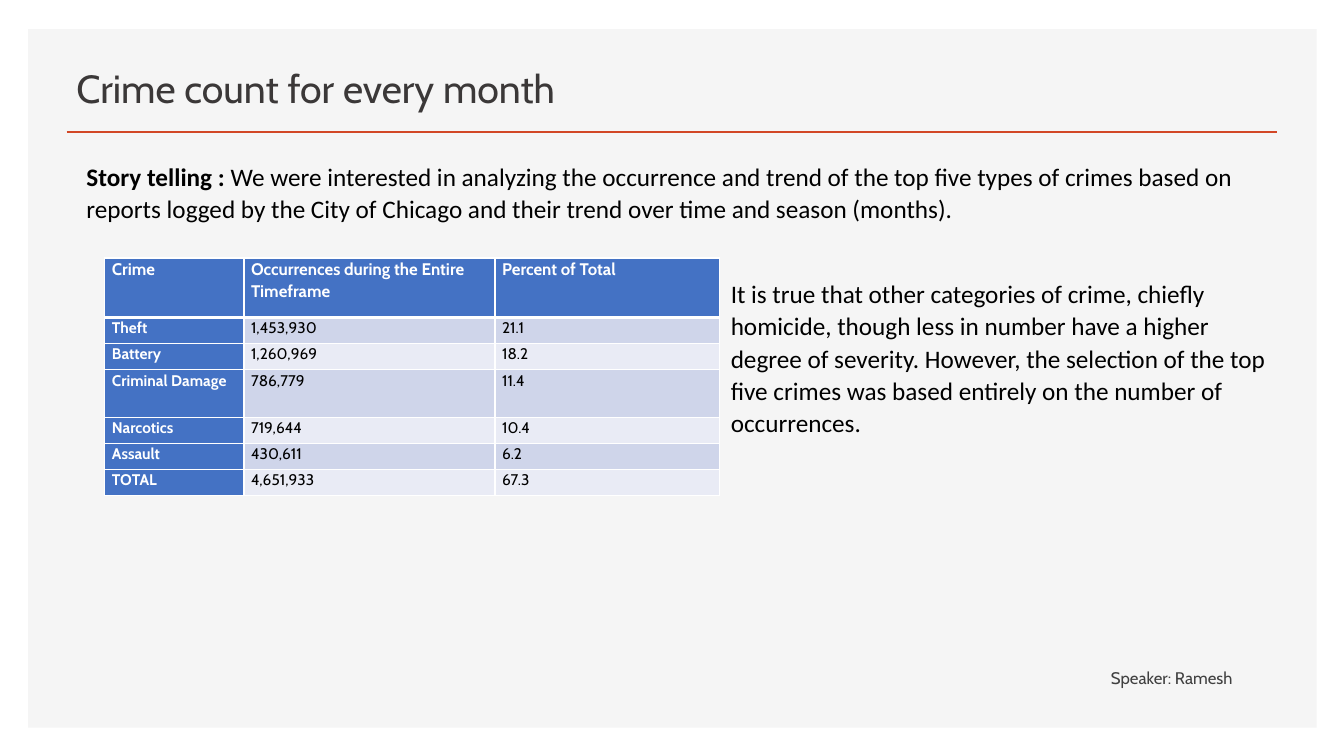
import pptx
import pptx.dml.color
import pptx.enum.shapes
import pptx.enum.text
import pptx.oxml
import pptx.oxml.ns
import pptx.util

Inches = pptx.util.Inches
Pt = pptx.util.Pt
RGBColor = pptx.dml.color.RGBColor

WHITE = RGBColor(0xFF, 0xFF, 0xFF)
BLACK = RGBColor(0, 0, 0)
PANEL = RGBColor(0xF5, 0xF5, 0xF5)
ORANGE = RGBColor(0xD2, 0x47, 0x26)
TITLE_GREY = RGBColor(0x3B, 0x38, 0x38)
SPEAKER_GREY = RGBColor(0x40, 0x40, 0x40)
BLUE = RGBColor(0x44, 0x72, 0xC4)
BANDS = [RGBColor(0xCF, 0xD5, 0xEA), RGBColor(0xE9, 0xEB, 0xF5)]

TITLE = {"name": "Cabin", "size": Pt(28), "color": TITLE_GREY}
SPEAKER = {"name": "Cabin", "size": Pt(12), "color": SPEAKER_GREY}
BODY = {"name": "Calibri", "size": Pt(18), "color": BLACK}
HEADER = {"name": "Cabin", "size": Pt(12), "color": WHITE, "bold": True}
CRIME = {**HEADER, "size": Pt(11)}
VALUE = {**CRIME, "color": BLACK, "bold": False}

BODY_SPACING = {"line_spacing": 1.07, "space_after": Pt(8)}
CELL_SPACING = {"line_spacing": 1.07, "space_after": Pt(6)}
CELL_MARGINS = {"margin_left": Inches(0.07), "margin_right": Inches(0.07),
                "margin_top": 0, "margin_bottom": 0}

COL_WIDTHS = [1.38, 2.49, 2.23]
ROW_HEIGHTS = [0.59, 0.26, 0.26, 0.47, 0.26, 0.26, 0.26]
CRIME_ROWS = [
    ("Crime", "Occurrences during the Entire Timeframe", "Percent of Total"),
    ("Theft", "1,453,930", "21.1"),
    ("Battery", "1,260,969", "18.2"),
    ("Criminal Damage", "786,779", "11.4"),
    ("Narcotics", "719,644", "10.4"),
    ("Assault", "430,611", "6.2"),
    ("TOTAL", "4,651,933", "67.3"),
]


def set_attributes(obj, values):
    for name, value in values.items():
        setattr(obj, name, value)


def write_paragraph(p, runs, spacing):
    """Fill p with (text, font format) runs."""
    set_attributes(p, spacing)
    for text, style in runs:
        r = p.add_run()
        r.text = text
        for name, value in style.items():
            if name == "color":
                r.font.color.rgb = value
            else:
                setattr(r.font, name, value)


def add_text(slide, box, runs, spacing, anchor=pptx.enum.text.MSO_ANCHOR.TOP):
    tf = slide.shapes.add_textbox(*map(Inches, box)).text_frame
    tf.word_wrap = True
    tf.vertical_anchor = anchor
    write_paragraph(tf.paragraphs[0], runs, spacing)


def add_panel(slide, box):
    sp = slide.shapes.add_shape(
        pptx.enum.shapes.MSO_SHAPE.RECTANGLE, *map(Inches, box))
    sp.shadow.inherit = False
    sp.fill.solid()
    sp.fill.fore_color.rgb = PANEL
    sp.line.fill.background()


def add_rule(slide, ends):
    line = slide.shapes.add_connector(
        pptx.enum.shapes.MSO_CONNECTOR.STRAIGHT, *map(Inches, ends))
    line.line.color.rgb = ORANGE
    line.line.width = Pt(2)
    line._element.spPr.append(pptx.oxml.parse_xml(
        f'<a:effectLst {pptx.oxml.ns.nsdecls("a")}/>'))


def add_borders(cell, widths):
    """Draw white cell borders; widths maps a side (L, R, T, B) to points."""
    tcPr = cell._tc.get_or_add_tcPr()
    for side, width in widths.items():
        tcPr.append(pptx.oxml.parse_xml(
            f'<a:ln{side} {pptx.oxml.ns.nsdecls("a")} w="{Pt(width)}">'
            f'<a:solidFill><a:srgbClr val="{WHITE}"/></a:solidFill></a:ln{side}>'))


def add_crime_table(slide, left, top):
    table = slide.shapes.add_table(
        len(ROW_HEIGHTS), len(COL_WIDTHS), Inches(left), Inches(top),
        Inches(sum(COL_WIDTHS)), Inches(sum(ROW_HEIGHTS))).table
    for column, width in zip(table.columns, COL_WIDTHS):
        column.width = Inches(width)
    for i, (row, height) in enumerate(zip(table.rows, ROW_HEIGHTS)):
        row.height = Inches(height)
        for j, cell in enumerate(row.cells):
            set_attributes(cell, CELL_MARGINS)
            add_borders(cell, {"L": 1, "R": 1, "T": 3 if i == 1 else 1,
                               "B": 3 if i == 0 else 1})
            cell.fill.solid()
            is_heading = i == 0 or j == 0
            cell.fill.fore_color.rgb = BLUE if is_heading else BANDS[(i - 1) % 2]
            style = HEADER if i == 0 else CRIME if j == 0 else VALUE
            write_paragraph(cell.text_frame.paragraphs[0],
                            [(CRIME_ROWS[i][j], style)], CELL_SPACING)


def main():
    prs = pptx.Presentation()
    prs.slide_width = Inches(13.33)
    prs.slide_height = Inches(7.5)
    slide = prs.slides.add_slide(prs.slide_layouts[6])

    add_panel(slide, (0.28, 0.29, 12.78, 6.93))
    add_rule(slide, (0.66, 1.31, 12.67, 1.31))
    add_text(slide, (0.66, 0.49, 12.01, 0.82),
             [("Crime count for every month", TITLE)], {"line_spacing": 0.9},
             pptx.enum.text.MSO_ANCHOR.MIDDLE)
    add_text(slide, (10.92, 6.52, 2.02, 0.59), [("Speaker: Ramesh", SPEAKER)],
             {"line_spacing": Pt(18), "space_after": Pt(6)})
    add_text(slide, (0.76, 1.53, 11.96, 0.73), [
        ("Story telling : ", {**BODY, "bold": True}),
        ("We were interested in analyzing the occurrence and trend of the top "
         "five types of crimes based on reports logged by the City of Chicago "
         "and their trend over time and season (months).", BODY),
    ], BODY_SPACING)
    add_crime_table(slide, 1.04, 2.56)
    add_text(slide, (7.15, 2.69, 5.57, 1.71), [
        ("It is true that other categories of crime, chiefly homicide, though "
         "less in number have a higher degree of severity. However, the "
         "selection of the top five crimes was based entirely on the number "
         "of occurrences.", BODY),
    ], BODY_SPACING)

    prs.save("out.pptx")


if __name__ == "__main__":
    main()
